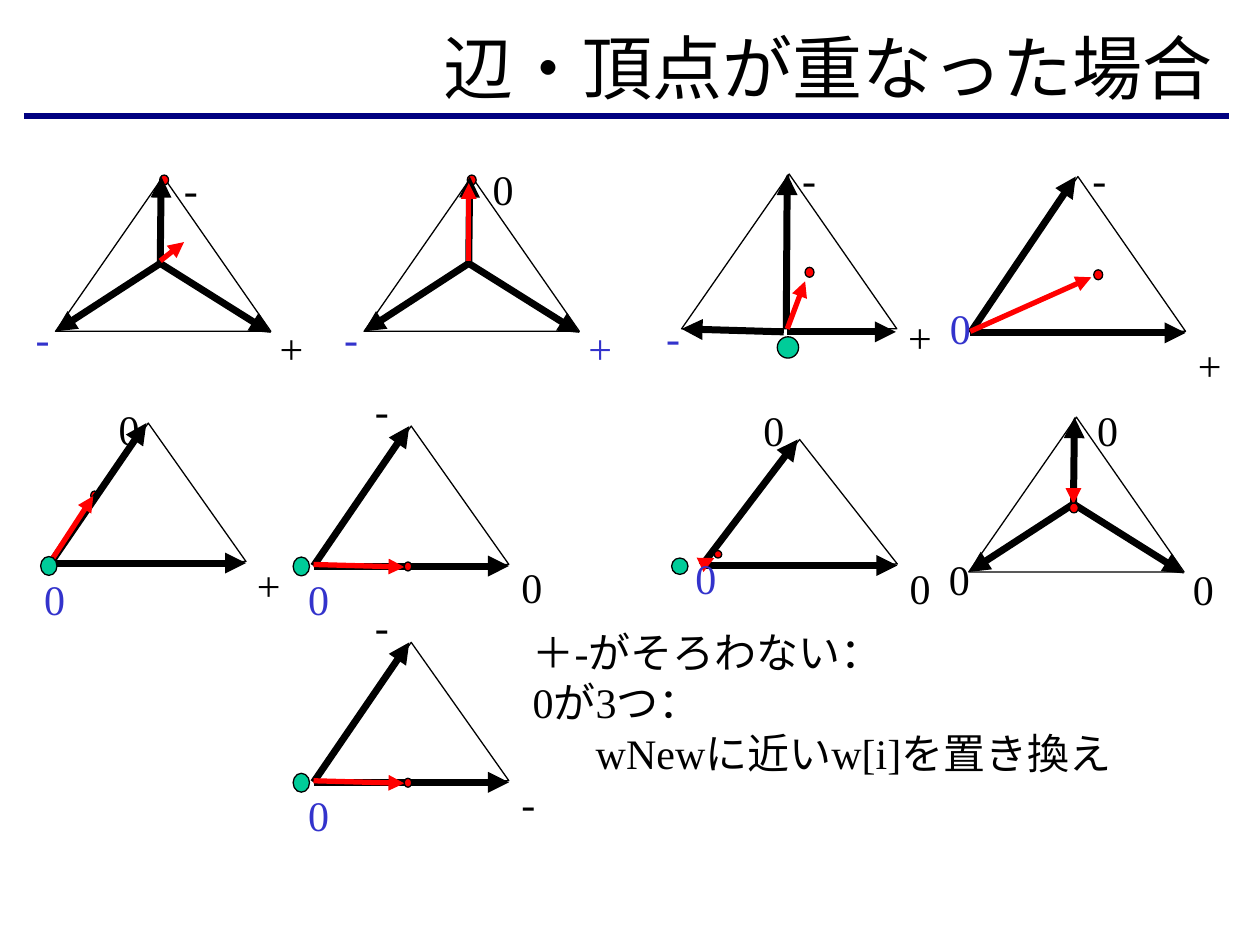
from dataclasses import dataclass

from pptx import Presentation
from pptx.dml.color import RGBColor
from pptx.enum.shapes import MSO_CONNECTOR, MSO_SHAPE
from pptx.enum.text import MSO_ANCHOR, PP_ALIGN
from pptx.oxml.xmlchemy import OxmlElement
from pptx.util import Cm, Pt


@dataclass(frozen=True)
class Theme:
    font: str = "Times New Roman"
    black: str = "000000"
    blue: str = "3333CC"
    navy: str = "000080"
    red: str = "FF0000"
    green: str = "00CC99"
    title: int = 40
    body: int = 24
    thin: float = 0.75
    mid: float = 3
    bold: float = 4


THEME = Theme()
WIDTHS = {"-": 0.79, "+": 0.99, "0": 0.91}


def write(slide, text, x, y, w, h, size=THEME.body, color=THEME.black,
          align=PP_ALIGN.LEFT, anchor=MSO_ANCHOR.TOP, wrap=False):
    box = slide.shapes.add_textbox(Cm(x), Cm(y), Cm(w), Cm(h))
    frame = box.text_frame
    frame.word_wrap = wrap
    frame.vertical_anchor = anchor
    frame.text = text
    for para in frame.paragraphs:
        para.alignment = align
        for run in para.runs:
            run.font.name = THEME.font
            run.font.size = Pt(size)
            run.font.color.rgb = RGBColor.from_string(color)


def draw_line(slide, start, end, color=THEME.black, width=THEME.bold, arrow=True):
    ends = [Cm(value) for value in (*start, *end)]
    line = slide.shapes.add_connector(MSO_CONNECTOR.STRAIGHT, *ends)
    line.line.color.rgb = RGBColor.from_string(color)
    line.line.width = Pt(width)
    if arrow:
        tail = OxmlElement("a:tailEnd")
        tail.set("type", "triangle")
        line.line._get_or_add_ln().append(tail)
    line._element.spPr.append(OxmlElement("a:effectLst"))


def draw_shape(slide, kind, x, y, w, h, fill=None):
    shape = slide.shapes.add_shape(kind, Cm(x), Cm(y), Cm(w), Cm(h))
    shape.shadow.inherit = False
    shape.line.color.rgb = RGBColor.from_string(THEME.black)
    shape.line.width = Pt(THEME.thin)
    if fill:
        shape.fill.solid()
        shape.fill.fore_color.rgb = RGBColor.from_string(fill)
    else:
        shape.fill.background()


def draw_dot(slide, x, y, w, h, fill=THEME.red):
    draw_shape(slide, MSO_SHAPE.OVAL, x, y, w, h, fill)


def draw_figure(slide, x, y, w, h, arrows, red, dot, labels, pivot=None, front=True):
    def place(point):
        return x + point[0], y + point[1]

    draw_shape(slide, MSO_SHAPE.ISOSCELES_TRIANGLE, x, y, w, h)
    if not front:
        draw_dot(slide, *place(dot), *dot[2:])
    for start, end in arrows:
        draw_line(slide, place(start), place(end))
    draw_line(slide, place(red[0]), place(red[1]), THEME.red, THEME.mid)
    if front:
        draw_dot(slide, *place(dot), *dot[2:])
    for text, left, top, color in labels:
        write(slide, text, *place((left, top)), WIDTHS[text], 1.27, color=color)
    if pivot:
        draw_dot(slide, *place(pivot), *pivot[2:], fill=THEME.green)


def draw_star(slide, x, y, signs, colors, tip, dot, front=False):
    hub = (2.11, 1.75)
    arrows = [(hub, end) for end in ((4.34, 3.15), (0, 3.12), (2.13, 0))]
    spots = ((-0.65, 2.62), (2.34, -0.38), (4.27, 2.82))
    labels = [(sign, *spot, color) for sign, spot, color in zip(signs, spots, colors)]
    draw_figure(slide, x, y, 4.34, 3.12, arrows, ((2.11, 1.7), tip),
                (*dot, 0.18, 0.2), labels, front=front)


def draw_corner(slide, x, y, w, h, signs, spots, tip, dot, pivot=None, front=True):
    base = (0, h + 0.03)
    arrows = [(base, (w, h + 0.03)), (base, (0.49 * w, 0))]
    colors = (THEME.blue, THEME.black, THEME.black)
    labels = [(sign, *spot, color) for sign, spot, color in zip(signs, spots, colors)]
    draw_figure(slide, x, y, w, h, arrows, ((0, h), tip), dot, labels, pivot, front)


def draw_split(slide, x, y):
    draw_line(slide, (x + 2.08, y + 3.05), (x + 2.16, y), width=THEME.thin, arrow=False)
    arrows = [((2.13, 3.18), (4.32, 3.18)), ((2.06, 3.18), (0, 3.12)),
              ((2.11, 3.12), (2.13, 0))]
    labels = [("-", -0.56, 2.64, THEME.blue), ("-", 2.18, -0.53, THEME.black),
              ("+", 4.32, 2.64, THEME.black)]
    draw_figure(slide, x, y, 4.34, 3.12, arrows, ((2.13, 3.12), (2.49, 2.16)),
                (2.49, 1.88, 0.18, 0.2), labels, (1.93, 3.28, 0.43, 0.43))


def main():
    deck = Presentation()
    deck.slide_width, deck.slide_height = Cm(25.4), Cm(19.05)
    slide = deck.slides.add_slide(deck.slide_layouts[6])
    black, blue = THEME.black, THEME.blue

    draw_line(slide, (0.48, 2.34), (24.77, 2.34), THEME.navy, THEME.mid, arrow=False)
    write(slide, "辺・頂点が重なった場合", 2.59, 0.43, 22.1, 1.83, size=THEME.title,
          align=PP_ALIGN.RIGHT, anchor=MSO_ANCHOR.MIDDLE, wrap=True)

    draw_star(slide, 1.12, 3.56, "--+", (blue, black, black), (2.59, 1.32), (2.1, -0.03))
    draw_star(slide, 7.34, 3.56, "-0+", (blue, black, blue), (2.11, 0.13), (2.08, -0.03))
    draw_split(slide, 13.74, 3.51)
    draw_corner(slide, 19.56, 3.56, 4.34, 3.12, "0-+",
                ((-0.66, 2.41), (2.21, -0.58), (4.34, 3.15)),
                (2.44, 2.03), (2.49, 1.88, 0.18, 0.2))

    draw_corner(slide, 1.02, 8.53, 3.94, 2.79, "00+",
                ((-0.38, 2.9), (1.12, -0.53), (3.91, 2.62)),
                (0.86, 1.47), (0.81, 1.37, 0.15, 0.18),
                (-0.2, 2.69, 0.33, 0.38), front=False)
    for top, signs in ((8.59, "0-0"), (12.95, "0--")):
        draw_corner(slide, 6.32, top, 3.94, 2.79, signs,
                    ((-0.36, 2.84), (0.99, -0.97), (3.94, 2.6)),
                    (1.83, 2.84), (1.83, 2.74, 0.15, 0.18),
                    (-0.41, 2.64, 0.33, 0.38))
    draw_corner(slide, 14.15, 8.86, 3.94, 2.51, "000",
                ((-0.38, 2.16), (0.99, -0.84), (3.94, 2.36)),
                (0.25, 2.39), (0.25, 2.24, 0.15, 0.15),
                (-0.61, 2.39, 0.33, 0.33))
    draw_star(slide, 19.53, 8.41, "000", (black,) * 3, (2.11, 1.75), (2.03, 1.73), front=True)

    write(slide, "＋-がそろわない：\n0が3つ：\n\twNewに近いw[i]を置き換え",
          10.49, 12.5, 14.05, 3.3)
    deck.save("out.pptx")


if __name__ == "__main__":
    main()
